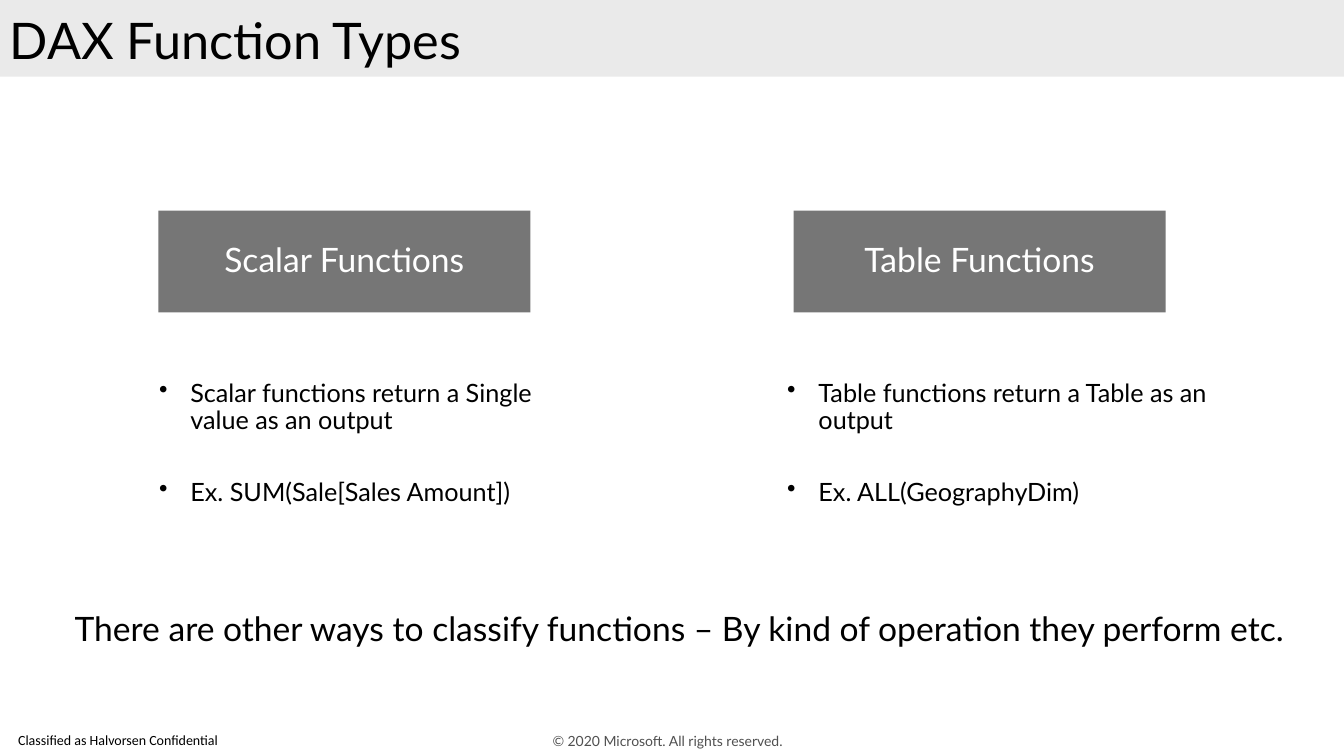
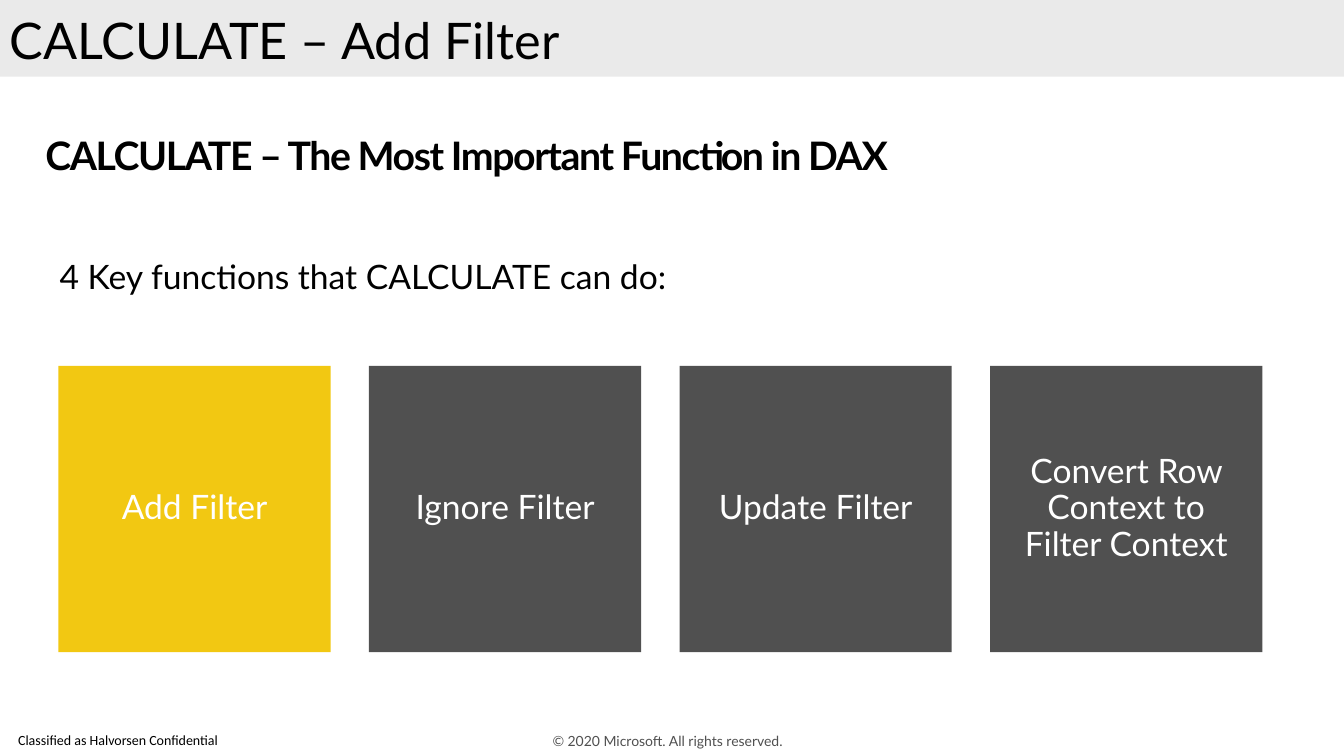
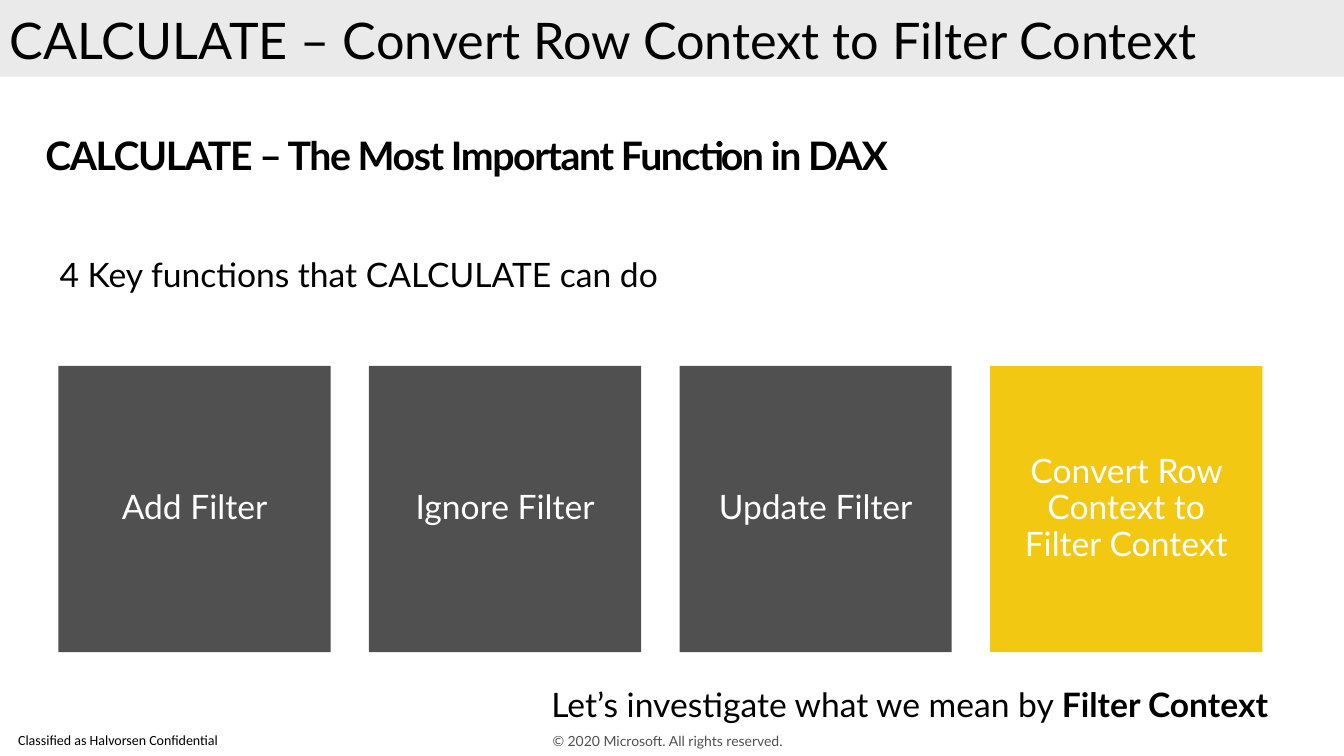
"""Build three slides on DAX function types and the CALCULATE function."""
from pptx import Presentation
from pptx.dml.color import RGBColor
from pptx.enum.shapes import MSO_SHAPE
from pptx.enum.text import MSO_ANCHOR, PP_ALIGN
from pptx.oxml.ns import qn
from pptx.util import Inches, Pt

BLACK, WHITE, BAND = "000000", "FFFFFF", "EAEAEA"
GRAY, DARK, YELLOW = "767676", "505050", "F2C812"
NARROW = (0.1, 0.05, 0.1, 0.05)
WIDE = (0.2, 0.16, 0.2, 0.16)
BANNER = (0.16, 0.1, 0.16, 0.1)


def add_block(slide, box, fill):
    """Add a plain filled rectangle."""
    shape = slide.shapes.add_shape(MSO_SHAPE.RECTANGLE, *map(Inches, box))
    shape.shadow.inherit = False
    shape.fill.solid()
    shape.fill.fore_color.rgb = RGBColor.from_string(fill)
    shape.line.fill.background()
    return shape


def write(shape, text, size, color=BLACK, font="Lato", insets=NARROW,
          align=PP_ALIGN.LEFT, anchor=MSO_ANCHOR.TOP, spacing=0.9, bold=False):
    """Fill a shape with evenly formatted text and return its frame."""
    frame = shape.text_frame
    frame.text = text
    frame.word_wrap = True
    frame.vertical_anchor = anchor
    (frame.margin_left, frame.margin_top,
     frame.margin_right, frame.margin_bottom) = map(Inches, insets)
    for paragraph in frame.paragraphs:
        paragraph.alignment = align
        paragraph.line_spacing = spacing
        for run in paragraph.runs:
            run.font.name = font
            run.font.size = Pt(size)
            run.font.bold = bold
            run.font.color.rgb = RGBColor.from_string(color)
    return frame


presentation = Presentation()
presentation.slide_width = Inches(13.33)
presentation.slide_height = Inches(7.5)

slides = []
for title in ("DAX Function Types", "CALCULATE – Add Filter",
              "CALCULATE – Convert Row Context to Filter Context"):
    slide = presentation.slides.add_slide(presentation.slide_layouts[6])
    add_block(slide, (0, 0, 13.33, 0.76), BAND)
    title_box = slide.shapes.add_textbox(*map(Inches, (0, 0.04, 12.53, 0.72)))
    write(title_box, title, 36, spacing=1.0)
    label_box = slide.shapes.add_textbox(*map(Inches, (0.18, 7.21, 2.32, 0.29)))
    write(label_box, "Classified as Halvorsen Confidential", 10, font="Calibri",
          insets=(0, 0, 0, 0), anchor=MSO_ANCHOR.MIDDLE)
    copyright_box = slide.shapes.add_textbox(*map(Inches, (4.42, 7.23, 4.5, 0.25)))
    write(copyright_box, "© 2020 Microsoft. All rights reserved.", 10, DARK,
          insets=(0, 0, 0.1, 0), align=PP_ALIGN.CENTER,
          anchor=MSO_ANCHOR.MIDDLE, spacing=1.0)
    slides.append(slide)

types_slide, add_filter_slide, convert_slide = slides

function_types = [
    (1.57, 1.48, "Scalar Functions",
     "Scalar functions return a Single value as an output\nEx. SUM(Sale[Sales Amount])"),
    (7.87, 7.71, "Table Functions",
     "Table functions return a Table as an output\nEx. ALL(GeographyDim)"),
]
for heading_left, list_left, heading, points in function_types:
    heading_block = add_block(types_slide, (heading_left, 2.09, 3.69, 1.01), GRAY)
    write(heading_block, heading, 24, WHITE, insets=WIDE,
          align=PP_ALIGN.CENTER, anchor=MSO_ANCHOR.MIDDLE)
    list_box = types_slide.shapes.add_textbox(
        *map(Inches, (list_left, 3.73, 4.43, 1.36)))
    list_frame = write(list_box, points, 18)
    for paragraph in list_frame.paragraphs:
        properties = paragraph._p.get_or_add_pPr()
        properties.set("marL", str(Inches(0.31)))
        properties.set("indent", str(-Inches(0.31)))
        bullet = properties.makeelement(qn("a:buChar"), {"char": "•"})
        properties.append(bullet)
    list_frame.paragraphs[0].space_after = Pt(31.5)

summary_box = types_slide.shapes.add_textbox(*map(Inches, (0.54, 5.92, 12.58, 0.69)))
write(summary_box, "There are other ways to classify functions – "
      "By kind of operation they perform etc.", 24, insets=WIDE)

abilities = ["Add Filter", "Ignore Filter", "Update Filter",
             "Convert Row Context to Filter Context"]
calculate_slides = [
    (add_filter_slide, "4 Key functions that CALCULATE can do:", 2.42, 0),
    (convert_slide, "4 Key functions that CALCULATE can do", 2.4, 3),
]
for slide, intro, intro_top, highlighted in calculate_slides:
    subtitle_box = slide.shapes.add_textbox(*map(Inches, (0.29, 1.26, 12.75, 0.57)))
    subtitle_frame = write(subtitle_box, "CALCULATE – The Most Important Function in DAX",
                           28, insets=BANNER, bold=True)
    subtitle_run = subtitle_frame.paragraphs[0].runs[0]
    subtitle_run._r.get_or_add_rPr().set("spc", "-100")
    intro_box = slide.shapes.add_textbox(*map(Inches, (0.39, intro_top, 10.89, 0.69)))
    write(intro_box, intro, 24, insets=WIDE)
    for index, ability in enumerate(abilities):
        fill = YELLOW if index == highlighted else DARK
        card = add_block(slide, (0.58 + index * 3.08, 3.63, 2.7, 2.84), fill)
        write(card, ability, 24, WHITE, insets=WIDE,
              align=PP_ALIGN.CENTER, anchor=MSO_ANCHOR.MIDDLE)

closing_box = convert_slide.shapes.add_textbox(*map(Inches, (5.27, 6.67, 7.77, 0.69)))
closing_frame = write(closing_box, "Let’s investigate what we mean by ", 24, insets=WIDE)
term_run = closing_frame.paragraphs[0].add_run()
term_run.text = "Filter Context"
term_run.font.name = "Lato"
term_run.font.size = Pt(24)
term_run.font.bold = True
term_run.font.color.rgb = RGBColor.from_string(BLACK)

presentation.save("out.pptx")
